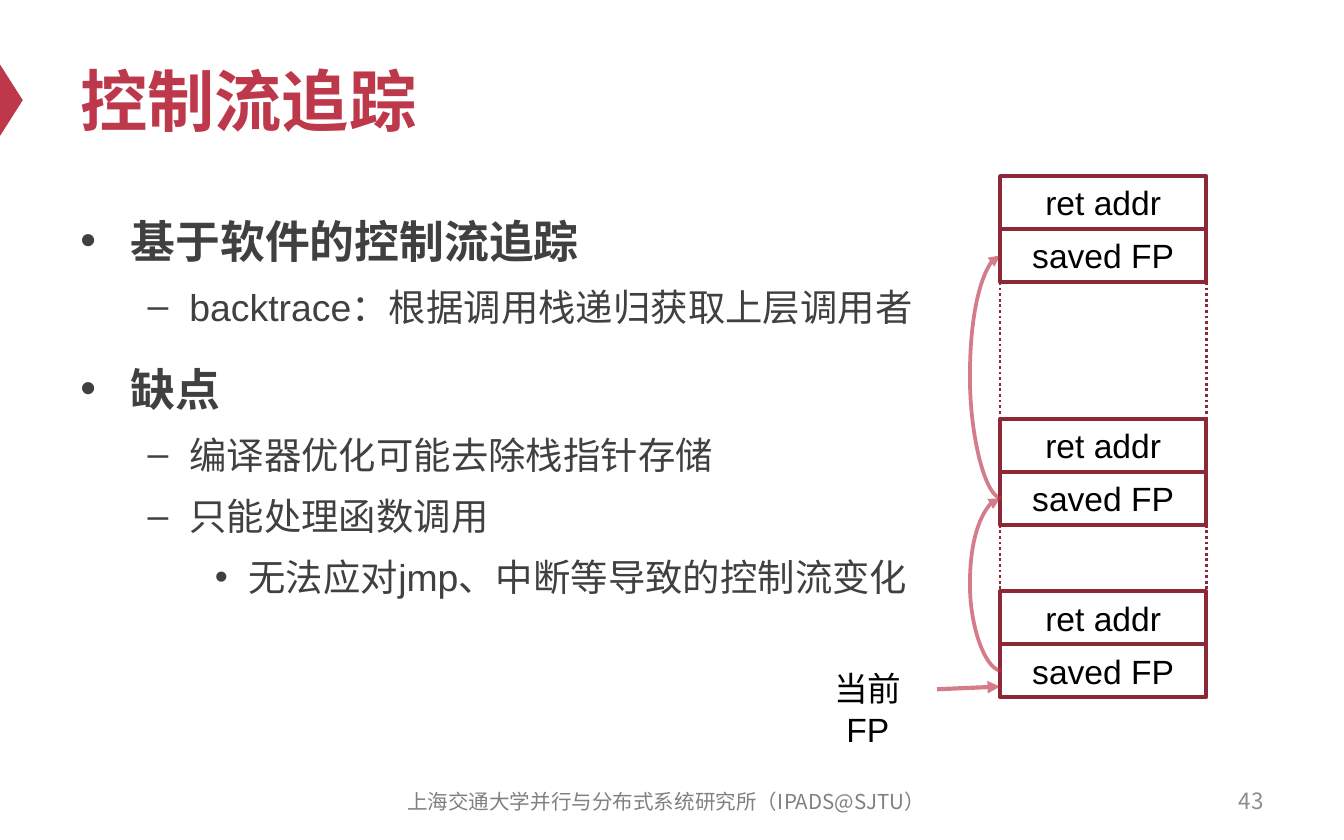
from itertools import pairwise

from lxml.etree import SubElement
from pptx import Presentation
from pptx.dml.color import RGBColor
from pptx.enum.dml import MSO_LINE
from pptx.enum.shapes import MSO_CONNECTOR, MSO_SHAPE
from pptx.enum.text import MSO_ANCHOR, PP_ALIGN
from pptx.oxml.ns import qn
from pptx.util import Cm, Pt

LATIN, CHINESE = "Arial", "Noto Sans CJK SC"
RED, DARK_RED, ARROW_RED = "BE384B", "8D2937", "BD3347"
BLACK, TEXT_GRAY, FOOTER_GRAY, NUMBER_GRAY = "000000", "404040", "808080", "8C8C8C"

# Per level: bullet, left margin and hanging indent in cm, size, bold, space before
LEVELS = [
    ("•", 0.95, 0.95, 24, True, 12),
    ("–", 2.06, 0.79, 20, False, 4),
    ("•", 3.18, 0.64, 20, False, 4),
]
OUTLINE = [
    (0, "基于软件的控制流追踪"),
    (1, "backtrace：根据调用栈递归获取上层调用者"),
    (0, "缺点"),
    (1, "编译器优化可能去除栈指针存储"),
    (1, "只能处理函数调用"),
    (2, "无法应对jmp、中断等导致的控制流变化"),
]


def color(value):
    return RGBColor.from_string(value)


def add_run(paragraph, text, size, fill, bold=False, font=LATIN):
    run = paragraph.add_run()
    run.text = text
    run.font.size = Pt(size)
    run.font.bold = bold
    run.font.color.rgb = color(fill)
    run.font.name = font
    SubElement(run.font._element, qn("a:ea")).set("typeface", CHINESE)


def add_text_box(slide, box, anchor=MSO_ANCHOR.TOP):
    frame = slide.shapes.add_textbox(*map(Cm, box)).text_frame
    frame.word_wrap = True
    frame.vertical_anchor = anchor
    return frame


def add_label(slide, box, text, size, fill, align, bold=False, font=LATIN):
    frame = add_text_box(slide, box, MSO_ANCHOR.MIDDLE)
    paragraph = frame.paragraphs[0]
    paragraph.alignment = align
    add_run(paragraph, text, size, fill, bold, font)
    return frame


def add_line(slide, start, end, fill, width, kind=MSO_CONNECTOR.STRAIGHT):
    line = slide.shapes.add_connector(kind, *map(Cm, start + end))
    line.line.color.rgb = color(fill)
    line.line.width = Pt(width)
    SubElement(line._element.spPr, qn("a:effectLst"))
    return line


def make_arrow(connector):
    """Make the line 64 % opaque and put a triangle at its end."""
    line = connector.line._get_or_add_ln()
    SubElement(line.find(".//" + qn("a:srgbClr")), qn("a:alpha")).set("val", "64000")
    SubElement(line, qn("a:tailEnd")).set("type", "triangle")


def add_title(slide, box):
    left, top, width, height = box
    marker = slide.shapes.add_shape(
        MSO_SHAPE.ISOSCELES_TRIANGLE,
        Cm(left - 1.73), Cm(top + 1.04), Cm(1.35), Cm(0.43),
    )
    marker.rotation = 90
    marker.shadow.inherit = False
    marker.fill.solid()
    marker.fill.fore_color.rgb = color(RED)
    marker.line.fill.background()
    add_label(slide, box, "控制流追踪", 36, RED, PP_ALIGN.LEFT, bold=True)


def add_outline(slide, box):
    frame = add_text_box(slide, box)
    for index, (level, text) in enumerate(OUTLINE):
        bullet, margin, hanging, size, bold, space = LEVELS[level]
        paragraph = frame.add_paragraph() if index else frame.paragraphs[0]
        paragraph.level = level
        paragraph.line_spacing = 1.2
        paragraph.space_before = Pt(space if index else 0)
        properties = paragraph._p.get_or_add_pPr()
        properties.set("marL", str(Cm(margin)))
        properties.set("indent", str(-Cm(hanging)))
        SubElement(properties, qn("a:buFont")).set("typeface", LATIN)
        SubElement(properties, qn("a:buChar")).set("char", bullet)
        add_run(paragraph, text, size, TEXT_GRAY, bold)


def add_cell(slide, box, text):
    cell = slide.shapes.add_shape(MSO_SHAPE.RECTANGLE, *map(Cm, box))
    cell.shadow.inherit = False
    cell.fill.background()
    cell.line.color.rgb = color(DARK_RED)
    cell.line.width = Pt(2)
    cell.text_frame.vertical_anchor = MSO_ANCHOR.MIDDLE
    paragraph = cell.text_frame.paragraphs[0]
    paragraph.alignment = PP_ALIGN.CENTER
    add_run(paragraph, text, 18, BLACK)


def add_saved_pointer(slide, x, start_y, end_y):
    """Draw a curved arrow up from start_y to end_y, bulging to the left of x."""
    width, bulge = 0.03, 0.6
    curve = add_line(slide, (x, end_y), (x + width, start_y),
                     ARROW_RED, 2, MSO_CONNECTOR.CURVE)
    properties = curve._element.spPr
    properties.find(qn("a:xfrm")).set("rot", "10800000")
    geometry = properties.find(qn("a:prstGeom"))
    guide = SubElement(geometry.find(qn("a:avLst")), qn("a:gd"))
    guide.set("name", "adj1")
    guide.set("fmla", f"val {round(bulge / width * 100000)}")
    make_arrow(curve)


def add_call_stack(slide, box):
    left, top, width, height = box
    row = 1.0
    frame_tops = [top, top + 4.59, top + height - 2 * row]
    for frame_top in frame_tops:
        for index, text in enumerate(["ret addr", "saved FP"]):
            add_cell(slide, (left, frame_top + index * row, width, row), text)
    for upper, lower in pairwise(frame_tops):
        for x in (left, left + width):
            side = add_line(slide, (x, upper + 2 * row), (x, lower), DARK_RED, 1.5)
            side.line.dash_style = MSO_LINE.ROUND_DOT
        add_saved_pointer(slide, left, lower + 1.5 * row, upper + 1.5 * row)

    bottom = top + height
    label = add_label(slide, (left - 3.81, bottom - 0.67, 2.62, 1.6), "当前FP",
                      18, BLACK, PP_ALIGN.CENTER)
    label.vertical_anchor = MSO_ANCHOR.TOP
    label.margin_left = label.margin_right = Cm(0.35)
    make_arrow(add_line(slide, (left - 1.19, bottom - 0.15),
                        (left, bottom - 0.2), ARROW_RED, 2.25))


def add_footer(slide, box):
    left, top, width, height = box
    add_label(slide, (left, top, 11, height),
              "上海交通大学并行与分布式系统研究所（IPADS@SJTU）",
              11, FOOTER_GRAY, PP_ALIGN.CENTER, font=CHINESE)
    add_label(slide, (left + width - 5.92, top, 5.92, height), "43",
              12, NUMBER_GRAY, PP_ALIGN.RIGHT, font=CHINESE)


def main():
    presentation = Presentation()
    presentation.slide_width = Cm(25.4)
    presentation.slide_height = Cm(15.88)
    slide = presentation.slides.add_slide(presentation.slide_layouts[6])
    add_title(slide, (1.27, 0.64, 22.86, 2.49))
    add_outline(slide, (1.27, 3.71, 22.86, 10.46))
    add_footer(slide, (7.09, 14.72, 17.04, 0.84))
    add_call_stack(slide, (18.9, 3.33, 3.9, 9.85))
    presentation.save("out.pptx")


if __name__ == "__main__":
    main()
